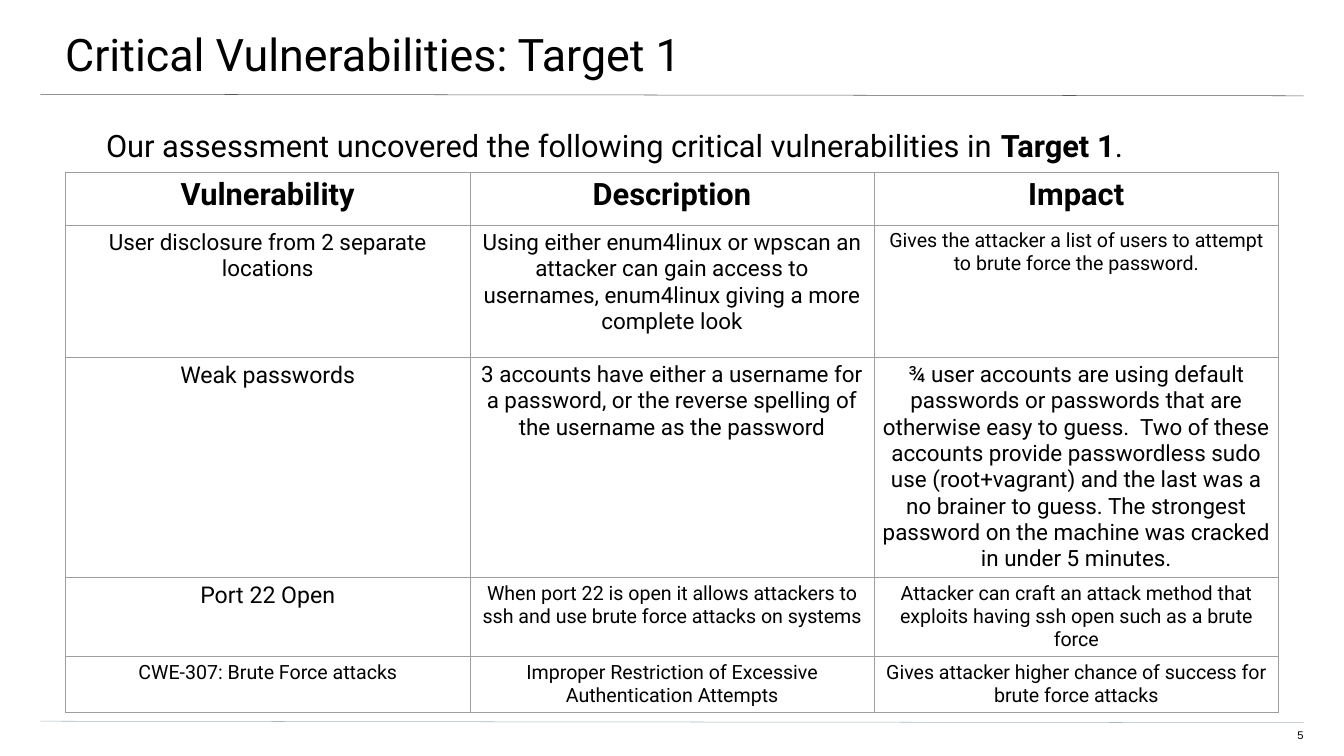
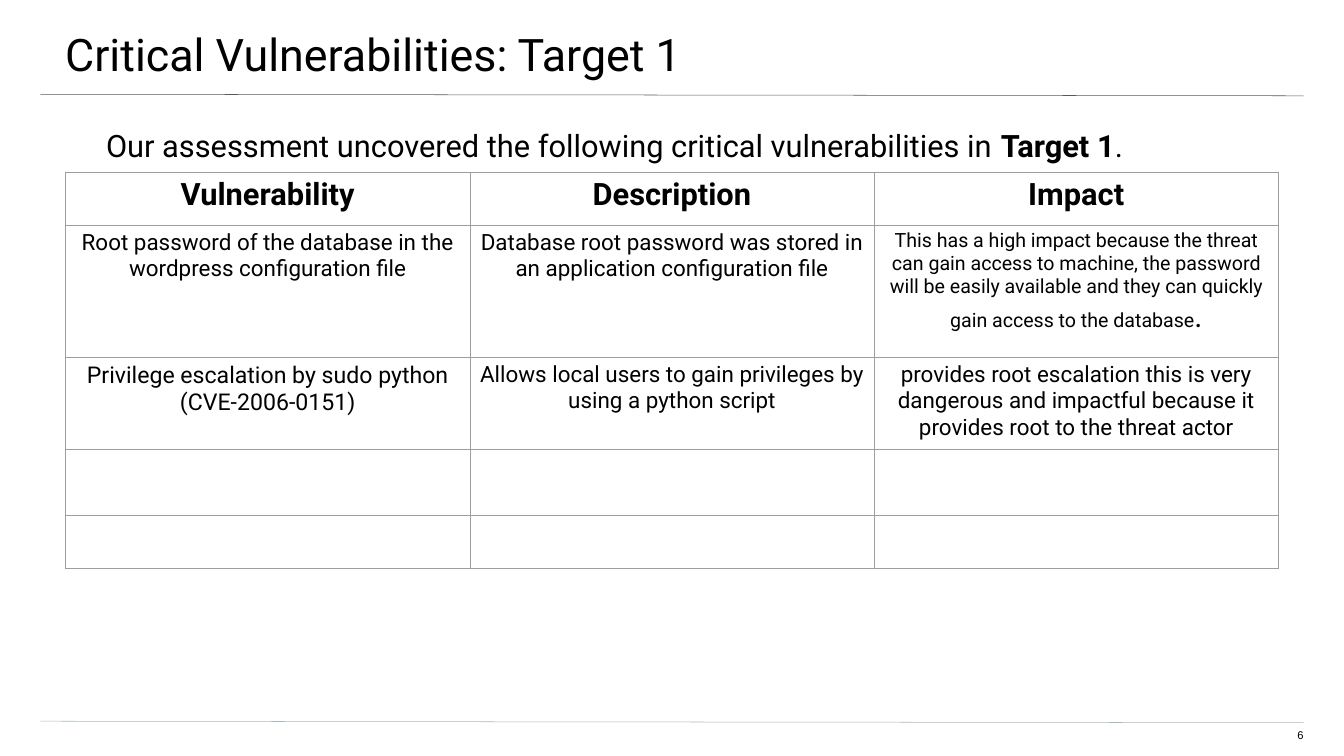
from dataclasses import dataclass

import lxml.etree
import pptx
import pptx.dml.color
import pptx.enum.shapes
import pptx.enum.text
import pptx.oxml.ns
import pptx.util

RGBColor = pptx.dml.color.RGBColor
BLACK = RGBColor(0x00, 0x00, 0x00)
WHITE = RGBColor(0xFF, 0xFF, 0xFF)
HEADER_RULE = RGBColor(0x59, 0x59, 0x59)
FOOTER_RULE = RGBColor(0xA9, 0xB7, 0xC0)
TABLE_RULE = RGBColor(0x9E, 0x9E, 0x9E)

ALIGN = pptx.enum.text.PP_ALIGN
HEADING_FONT = "Roboto"
NUMBER_FONT = "Arial"
TITLE_SIZE, LARGE, MEDIUM, REGULAR, SMALL, NUMBER_SIZE = 64, 44, 33, 32, 28, 16
RULE_WIDTH = pptx.util.Pt(0.75)
CELL_INSET = pptx.util.Inches(0.1)

SLIDE_WIDTH = pptx.util.Inches(26.66)
SLIDE_HEIGHT = pptx.util.Inches(15)
GRID = 100


@dataclass(frozen=True)
class Area:
    left: float
    top: float
    width: float
    height: float


@dataclass(frozen=True)
class Insets:
    left: float = 0
    top: float = 0
    right: float = 0
    bottom: float = 0


@dataclass(frozen=True)
class Rule:
    start_row: float
    end_row: float
    color: RGBColor


@dataclass(frozen=True)
class Span:
    text: str
    size: float = REGULAR
    bold: bool = False
    font: str = HEADING_FONT


@dataclass(frozen=True)
class TableRow:
    height: float
    cells: tuple[tuple[Span, ...], ...] = ((), (), ())


@dataclass(frozen=True)
class VulnerabilityPage:
    number: int
    findings: tuple[TableRow, ...]


TITLE_AREA = Area(-0.15, 0, 100.26, 10.4)
TITLE_INSETS = Insets(5, 3.53, 3, 1.8)
BODY_AREA = Area(2.89, 16.73, 94.11, 71.93)
BODY_INSETS = Insets(5, 0, 5, 17.8)
NUMBER_AREA = Area(94.15, 96.4, 2.85, 2.07)
NUMBER_INSETS = Insets(bottom=1.8)
TABLE_LEFT, TABLE_TOP, TABLE_COLUMN = 4.88, 22.73, 30.08
RULE_LEFT, RULE_RIGHT = 3, 97
RULES = (Rule(12.47, 12.67, HEADER_RULE), Rule(95.4, 95.6, FOOTER_RULE))

TITLE = (Span("Critical Vulnerabilities: Target 1", TITLE_SIZE),)
INTRODUCTION = (
    Span("Our assessment uncovered the following critical vulnerabilities in ", LARGE),
    Span("Target 1", LARGE, bold=True),
    Span(".", LARGE),
)
HEADER = TableRow(
    7, tuple((Span(name, LARGE, bold=True),) for name in ("Vulnerability", "Description", "Impact"))
)

PAGES = (
    VulnerabilityPage(5, (
        TableRow(17.47, (
            (Span("User disclosure from 2 separate locations"),),
            (Span("Using either enum4linux or wpscan an attacker can gain access to usernames, "
                  "enum4linux giving a more complete look"),),
            (Span("Gives the attacker a list of users to attempt to brute force the password.", SMALL),),
        )),
        TableRow(20.93, (
            (Span("Weak passwords", MEDIUM),),
            (Span("3 accounts have either a username for a password, or the reverse spelling of "
                  "the username as the password"),),
            (Span("¾ user accounts are using default passwords or passwords that are otherwise "
                  "easy to guess.  Two of these accounts provide passwordless sudo use "
                  "(root+vagrant) and the last was a no brainer to guess. The strongest password "
                  "on the machine was cracked in under 5 minutes."),),
        )),
        TableRow(8.67, (
            (Span("Port 22 Open", MEDIUM),),
            (Span("When port 22 is open it allows attackers to ssh and use brute force attacks "
                  "on systems", SMALL),),
            (Span("Attacker can craft an attack method that exploits having ssh open such as a "
                  "brute force", SMALL),),
        )),
        TableRow(7, (
            (Span("CWE-307: Brute Force attacks", SMALL),),
            (Span("Improper Restriction of Excessive Authentication Attempts", SMALL),),
            (Span("Gives attacker higher chance of success for brute force attacks", SMALL),),
        )),
    )),
    VulnerabilityPage(6, (
        TableRow(17.47, (
            (Span("Root password of the database in the wordpress configuration file"),),
            (Span("Database root password was stored in an application configuration file"),),
            (Span("This has a high impact because the threat can gain access to machine, the "
                  "password will be easily available and they can quickly gain access to the "
                  "database", SMALL), Span(".", LARGE)),
        )),
        TableRow(12.27, (
            (Span("Privilege escalation by sudo python (CVE-2006-0151)", MEDIUM),),
            (Span("Allows local users to gain privileges by using a python script"),),
            (Span("provides root escalation this is very dangerous and impactful because it "
                  "provides root to the threat actor"),),
        )),
        TableRow(8.67),
        TableRow(7),
    )),
)


def across(columns: float) -> int:
    return round(SLIDE_WIDTH * columns / GRID)


def down(rows: float) -> int:
    return round(SLIDE_HEIGHT * rows / GRID)


def write_spans(para, spans: tuple[Span, ...], align) -> None:
    para.alignment = align
    para.space_before = pptx.util.Pt(0)
    for span in spans:
        run = para.add_run()
        run.text = span.text
        run.font.name = span.font
        run.font.size = pptx.util.Pt(span.size)
        run.font.bold = span.bold
        run.font.color.rgb = BLACK


def fill_box(box, area: Area, insets: Insets, spans: tuple[Span, ...], align=ALIGN.LEFT) -> None:
    box.left, box.top = across(area.left), down(area.top)
    box.width, box.height = across(area.width), down(area.height)
    frame = box.text_frame
    frame.word_wrap = True
    frame.auto_size = pptx.enum.text.MSO_AUTO_SIZE.NONE
    frame.vertical_anchor = pptx.enum.text.MSO_ANCHOR.TOP
    frame.margin_left, frame.margin_right = across(insets.left), across(insets.right)
    frame.margin_top, frame.margin_bottom = down(insets.top), down(insets.bottom)
    write_spans(frame.paragraphs[0], spans, align)


def remove_bullet(para) -> None:
    properties = para._p.get_or_add_pPr()
    properties.set("marL", "0")
    properties.set("indent", "0")
    lxml.etree.SubElement(properties, pptx.oxml.ns.qn("a:buNone"))


def draw_rule(page, rule: Rule) -> None:
    line = page.shapes.add_connector(
        pptx.enum.shapes.MSO_CONNECTOR.STRAIGHT,
        across(RULE_LEFT), down(rule.start_row), across(RULE_RIGHT), down(rule.end_row),
    )
    line.line.color.rgb = rule.color
    line.line.width = RULE_WIDTH
    lxml.etree.SubElement(line._element.spPr, pptx.oxml.ns.qn("a:effectLst"))


def draw_borders(cell) -> None:
    properties = cell._tc.get_or_add_tcPr()
    for side in ("a:lnL", "a:lnR", "a:lnT", "a:lnB"):
        border = lxml.etree.SubElement(properties, pptx.oxml.ns.qn(side), w=str(RULE_WIDTH))
        fill = lxml.etree.SubElement(border, pptx.oxml.ns.qn("a:solidFill"))
        lxml.etree.SubElement(fill, pptx.oxml.ns.qn("a:srgbClr"), val=str(TABLE_RULE))


def draw_table(page, rows: tuple[TableRow, ...]) -> None:
    count = len(HEADER.cells)
    table = page.shapes.add_table(
        len(rows), count, across(TABLE_LEFT), down(TABLE_TOP),
        across(TABLE_COLUMN * count), down(sum(row.height for row in rows)),
    ).table
    table.first_row = table.horz_banding = False
    for column in table.columns:
        column.width = across(TABLE_COLUMN)
    for table_row, row in zip(table.rows, rows):
        table_row.height = down(row.height)
        for cell, spans in zip(table_row.cells, row.cells):
            cell.margin_left = cell.margin_right = CELL_INSET
            cell.margin_top = cell.margin_bottom = CELL_INSET
            draw_borders(cell)
            cell.fill.background()
            write_spans(cell.text_frame.paragraphs[0], spans, ALIGN.CENTER)


def build_page(deck, content: VulnerabilityPage) -> None:
    page = deck.slides.add_slide(deck.slide_layouts[1])
    page.background.fill.solid()
    page.background.fill.fore_color.rgb = WHITE
    for rule in RULES:
        draw_rule(page, rule)
    fill_box(page.shapes.title, TITLE_AREA, TITLE_INSETS, TITLE)
    body = page.placeholders[1]
    fill_box(body, BODY_AREA, BODY_INSETS, INTRODUCTION)
    remove_bullet(body.text_frame.paragraphs[0])
    number = (Span(str(content.number), NUMBER_SIZE, font=NUMBER_FONT),)
    fill_box(page.shapes.add_textbox(0, 0, 0, 0), NUMBER_AREA, NUMBER_INSETS, number, ALIGN.RIGHT)
    draw_table(page, (HEADER, *content.findings))


def main() -> None:
    deck = pptx.Presentation()
    deck.slide_width, deck.slide_height = SLIDE_WIDTH, SLIDE_HEIGHT
    for content in PAGES:
        build_page(deck, content)
    deck.save("out.pptx")


if __name__ == "__main__":
    main()
